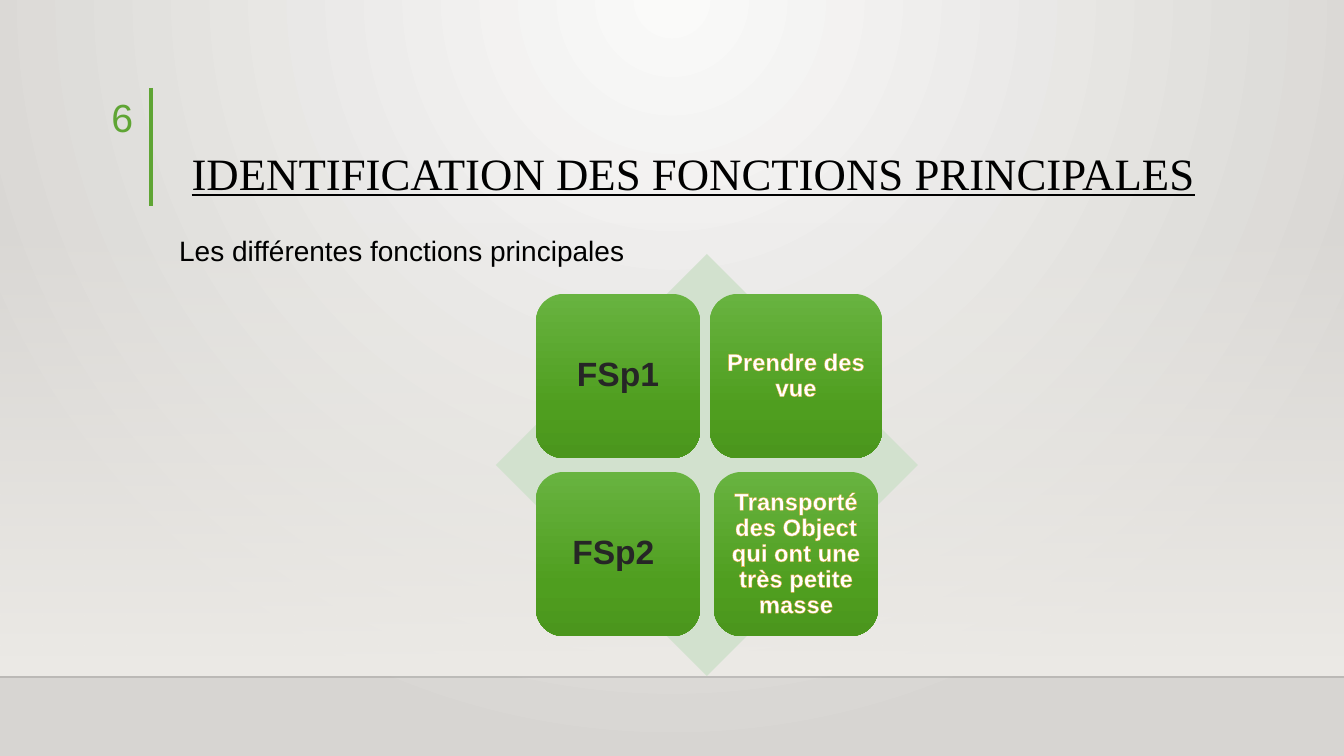
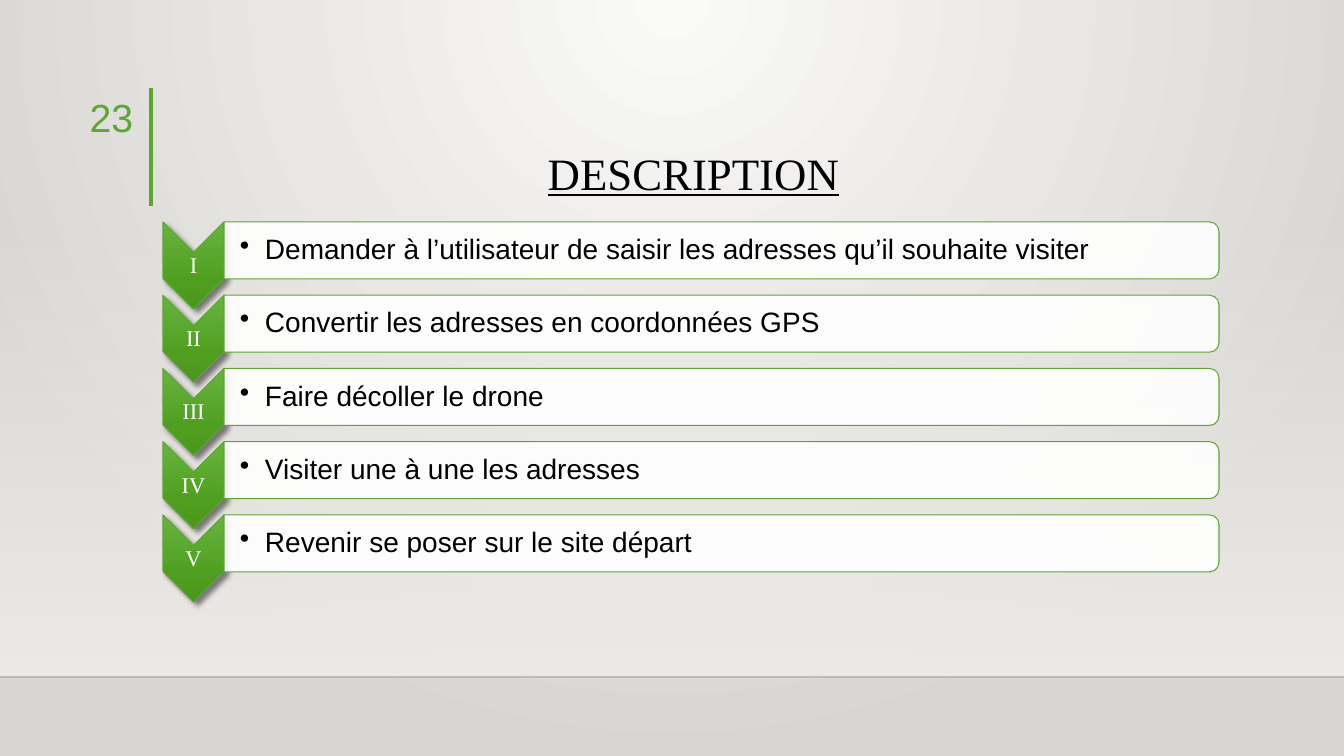
import pptx
import pptx.dml.color
import pptx.enum.shapes
import pptx.enum.text
import pptx.oxml
import pptx.oxml.ns
import pptx.util

SHAPE = pptx.enum.shapes.MSO_SHAPE
ALIGN = pptx.enum.text.PP_ALIGN
ANCHOR = pptx.enum.text.MSO_ANCHOR
qn = pptx.oxml.ns.qn

SANS, SERIF = "Arial", "Times New Roman"
GREEN, BLACK, WHITE, DARK, GOLD = "5FA534", "000000", "FFFFFF", "262626", "DCAB34"
PALE_GREEN = "D2E1CE"
BACKDROP = [(0, "FAFAF9", 100), (100, "D7D5D2", 100)]
BAND = [(0, "EDEBE7", 0), (100, "EDEBE7", 100)]
GLOSS = [(0, "68B340", 100), (69, "4F9E1F", 100), (100, "4B961D", 100)]
DOWNWARD = '<a:lin ang="5400000" scaled="0"/>'
FROM_TOP = '<a:path path="circle"><a:fillToRect l="43000" r="43000" b="100000"/></a:path>'

CARDS = [
    ("FSp1", 24, DARK, WHITE, 1.06, 10, 0),
    ("Prendre des vue", 17, WHITE, GOLD, 0.52, 7, 4),
    ("FSp2\u00a0", 24, DARK, WHITE, 1.06, 10, 0),
    ("Transporté des Object qui ont une très petite masse", 17, WHITE, GOLD, 0.52, 7, 0),
]
STEPS = [
    ("I", "Demander à l’utilisateur de saisir les adresses qu’il souhaite visiter"),
    ("II", "Convertir les adresses en coordonnées GPS"),
    ("III", "Faire décoller le drone"),
    ("IV", "Visiter une à une les adresses"),
    ("V", "Revenir se poser sur le site départ"),
]


def px(n):
    """Turn pixels into EMU."""
    return pptx.util.Emu(round(n * 914400 / 100.8))


def rgb(color):
    """Turn a hex string into a colour."""
    return pptx.dml.color.RGBColor.from_string(color)


def xml(text):
    """Parse one DrawingML element."""
    head, sep, tail = text.partition(" ")
    return pptx.oxml.parse_xml(head + " " + pptx.oxml.ns.nsdecls("a") + sep + tail)


def gradient(fill, owner, stops, direction):
    """Give a fill its gradient stops and direction."""
    fill.gradient()
    grad = owner.find(".//" + qn("a:gradFill"))
    marks = "".join(
        f'<a:gs pos="{pos * 1000}"><a:srgbClr val="{color}">'
        f'<a:alpha val="{alpha * 1000}"/></a:srgbClr></a:gs>'
        for pos, color, alpha in stops)
    new = xml(f'<a:gradFill rotWithShape="0"><a:gsLst>{marks}</a:gsLst>{direction}</a:gradFill>')
    grad.getparent().replace(grad, new)


def set_alpha(owner, percent):
    """Make the first colour under an element translucent."""
    owner.find(".//" + qn("a:srgbClr")).append(xml(f'<a:alpha val="{percent * 1000}"/>'))


def add_shape(s, kind, x, y, w, h, line=None):
    """Add a plain shape without shadow."""
    sp = s.shapes.add_shape(kind, px(x), px(y), px(w), px(h))
    sp.shadow.inherit = False
    if line:
        sp.line.color.rgb = rgb(line)
        sp.line.width = pptx.util.Pt(0.75)
    else:
        sp.line.fill.background()
    return sp


def add_turned(s, kind, x, y, w, h, line):
    """Add a shape turned a quarter right that fills the given box."""
    sp = add_shape(s, kind, x + (w - h) / 2, y + (h - w) / 2, h, w, line)
    sp.rotation = 90
    return sp


def add_line(s, x1, y1, x2, y2, color, width):
    """Add a straight line."""
    ln = s.shapes.add_connector(
        pptx.enum.shapes.MSO_CONNECTOR.STRAIGHT, px(x1), px(y1), px(x2), px(y2))
    ln.line.color.rgb = rgb(color)
    ln.line.width = pptx.util.Pt(width)
    ln.element.spPr.append(xml("<a:effectLst />"))
    return ln


def set_text(sp, text, size, color, font=SANS, align=ALIGN.LEFT, anchor=ANCHOR.TOP,
             insets=None, spacing=1.0):
    """Write one paragraph into a shape and return its run."""
    tf = sp.text_frame
    tf.word_wrap = True
    tf.auto_size = pptx.enum.text.MSO_AUTO_SIZE.NONE
    tf.vertical_anchor = anchor
    if insets:
        tf.margin_left, tf.margin_top, tf.margin_right, tf.margin_bottom = map(px, insets)
    tf.text = text
    p = tf.paragraphs[0]
    p.alignment = align
    p.line_spacing = spacing
    p.space_before = pptx.util.Pt(0)
    r = p.runs[0]
    r.font.size = pptx.util.Pt(size)
    r.font.name = font
    r.font.color.rgb = rgb(color)
    return r


def add_text(s, x, y, w, h, *args, **style):
    """Add a text box with one paragraph."""
    tb = s.shapes.add_textbox(px(x), px(y), px(w), px(h))
    set_text(tb, *args, **style)
    return tb


def set_bullet(sp, indent, char=None):
    """Set the hanging indent and bullet of the first paragraph."""
    pPr = sp.text_frame.paragraphs[0]._p.get_or_add_pPr()
    pPr.set("marL", str(px(indent)))
    pPr.set("indent", str(-px(indent)))
    pPr.append(xml(f'<a:buChar char="{char}"/>') if char else xml("<a:buNone />"))


def place(sp, x, y, w, h):
    """Move a placeholder to a box."""
    sp.left, sp.top, sp.width, sp.height = map(px, (x, y, w, h))


def build_master(prs, s):
    """Put the backdrop, band and rules on the slide master."""
    master = prs.slide_master
    gradient(master.background.fill, master.element, BACKDROP, FROM_TOP)
    band = add_shape(s, SHAPE.RECTANGLE, 0, 222, 1344, 454)
    gradient(band.fill, band.element.spPr, BAND, DOWNWARD)
    ground = add_line(s, 0, 677, 1344, 677, "000001", 1)
    set_alpha(ground.element.spPr, 20)
    rule = add_line(s, 151, 88, 151, 206, GREEN, 3)
    for i, sp in enumerate((band, ground, rule)):
        sp.element.find(".//" + qn("p:cNvPr")).set("id", str(20 + i))
        master.shapes.element.append(sp.element)


def add_heading(s, title, number):
    """Fill the title placeholder and the slide number."""
    place(s.shapes.title, 169, 89, 1049, 116)
    r = set_text(s.shapes.title, title, 32, BLACK, SERIF, ALIGN.CENTER, ANCHOR.BOTTOM,
                 spacing=0.9)
    r.font.underline = True
    add_text(s, 53, 88, 90, 55, number, 28, GREEN, align=ALIGN.RIGHT)


def add_matrix(s, x, y, size):
    """Draw the diamond with its two by two cards."""
    margin, card, gap = 40, 164, 14
    diamond = add_shape(s, SHAPE.DIAMOND, x, y, size, size)
    diamond.fill.solid()
    diamond.fill.fore_color.rgb = rgb(PALE_GREEN)
    for i, (text, pt, color, outline, width, inset, extra) in enumerate(CARDS):
        row, col = divmod(i, 2)
        sp = add_shape(s, SHAPE.ROUNDED_RECTANGLE,
                       x + margin + col * (card + gap) - extra,
                       y + margin + row * (card + gap), card + 2 * extra, card)
        gradient(sp.fill, sp.element.spPr, GLOSS, DOWNWARD)
        r = set_text(sp, text, pt, color, align=ALIGN.CENTER, anchor=ANCHOR.MIDDLE,
                     insets=[inset] * 4, spacing=0.9)
        r.font.bold = True
        r._r.get_or_add_rPr().insert(0, xml(
            f'<a:ln w="{pptx.util.Pt(width)}"><a:solidFill><a:srgbClr val="{outline}"/>'
            '</a:solidFill></a:ln>'))


def add_step(s, x, y, w, numeral, text):
    """Draw one step: a downward chevron and its bar."""
    arrow_w, arrow_h, bar_h = 61, 87, 57
    arrow = add_turned(s, SHAPE.CHEVRON, x, y, arrow_w, arrow_h, GREEN)
    gradient(arrow.fill, arrow.element.spPr, GLOSS, DOWNWARD)
    arrow.element.spPr.find(qn("a:effectLst")).append(xml(
        '<a:outerShdw blurRad="50800" dist="50800" dir="2700000" rotWithShape="0">'
        '<a:srgbClr val="000000"><a:alpha val="48000"/></a:srgbClr></a:outerShdw>'))
    add_text(s, x, y + 31, arrow_w, 26, numeral, 16, WHITE, SERIF, ALIGN.CENTER,
             ANCHOR.MIDDLE, [1] * 4, 0.9)
    bar = add_turned(s, SHAPE.ROUND_2_SAME_RECTANGLE, x + arrow_w, y, w - arrow_w, bar_h, GREEN)
    bar.fill.solid()
    bar.fill.fore_color.rgb = rgb(WHITE)
    set_alpha(bar.element.spPr, 90)
    label = add_text(s, x + arrow_w, y + 3, w - arrow_w - 3, bar_h - 6, text, 20, BLACK,
                     anchor=ANCHOR.MIDDLE, insets=[16, 1, 1, 1], spacing=0.9)
    set_bullet(label, 25, "•")


def add_steps(s, x, y, w, h):
    """Stack the steps evenly in a box."""
    pitch = (h - 87) / (len(STEPS) - 1)
    for i, step in enumerate(STEPS):
        add_step(s, x, y + i * pitch, w, *step)


def functions_slide(s):
    """Build the slide of main functions."""
    add_heading(s, "IDENTIFICATION DES FONCTIONS PRINCIPALES", "6")
    body = s.placeholders[1]
    place(body, 169, 222, 1049, 380)
    set_text(body, "Les différentes fonctions principales", 20, BLACK, spacing=1.2)
    set_bullet(body, 0)
    add_matrix(s, 496, 254, 422)


def description_slide(s):
    """Build the slide of the steps."""
    add_heading(s, "DESCRIPTION", "23")
    add_steps(s, 163, 222, 1056, 380)


def main():
    """Build and save the presentation."""
    prs = pptx.Presentation()
    prs.slide_width, prs.slide_height = px(1344), px(756)
    functions = prs.slides.add_slide(prs.slide_layouts[1])
    build_master(prs, functions)
    functions_slide(functions)
    description_slide(prs.slides.add_slide(prs.slide_layouts[5]))
    prs.save("out.pptx")


if __name__ == "__main__":
    main()
